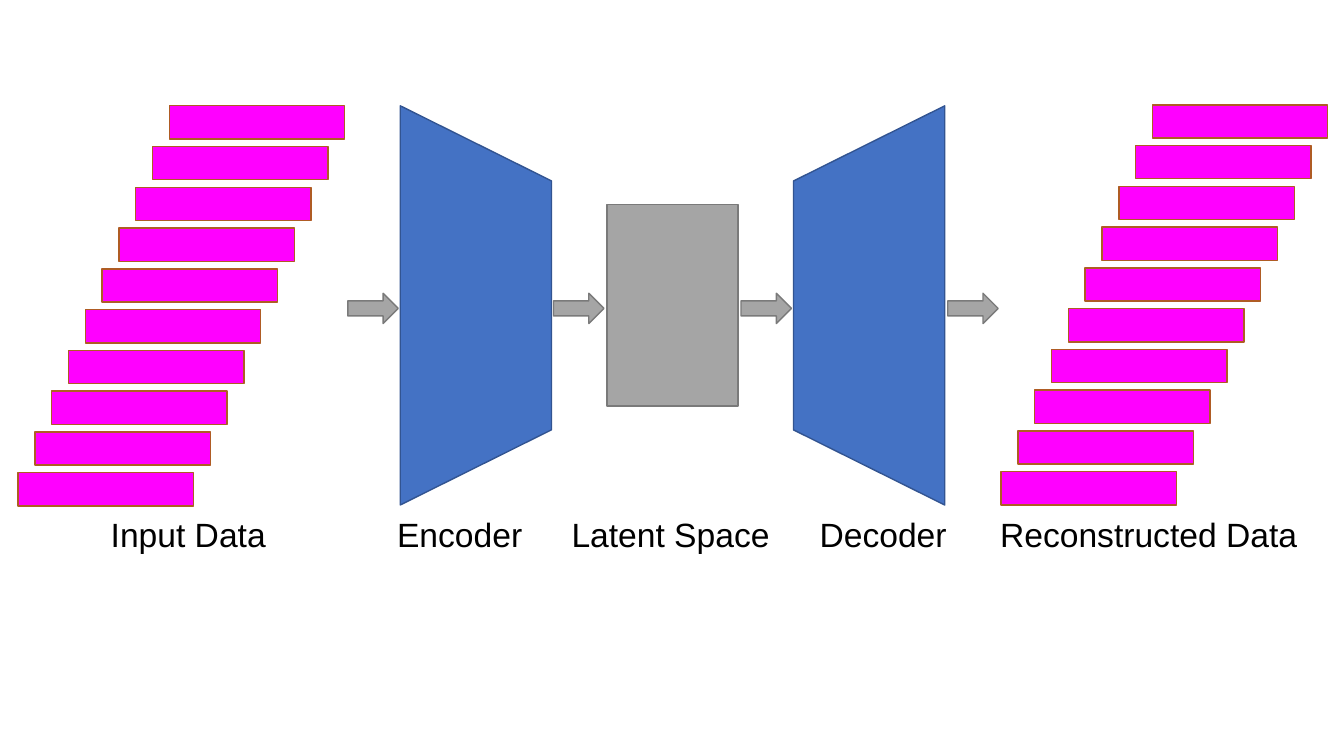
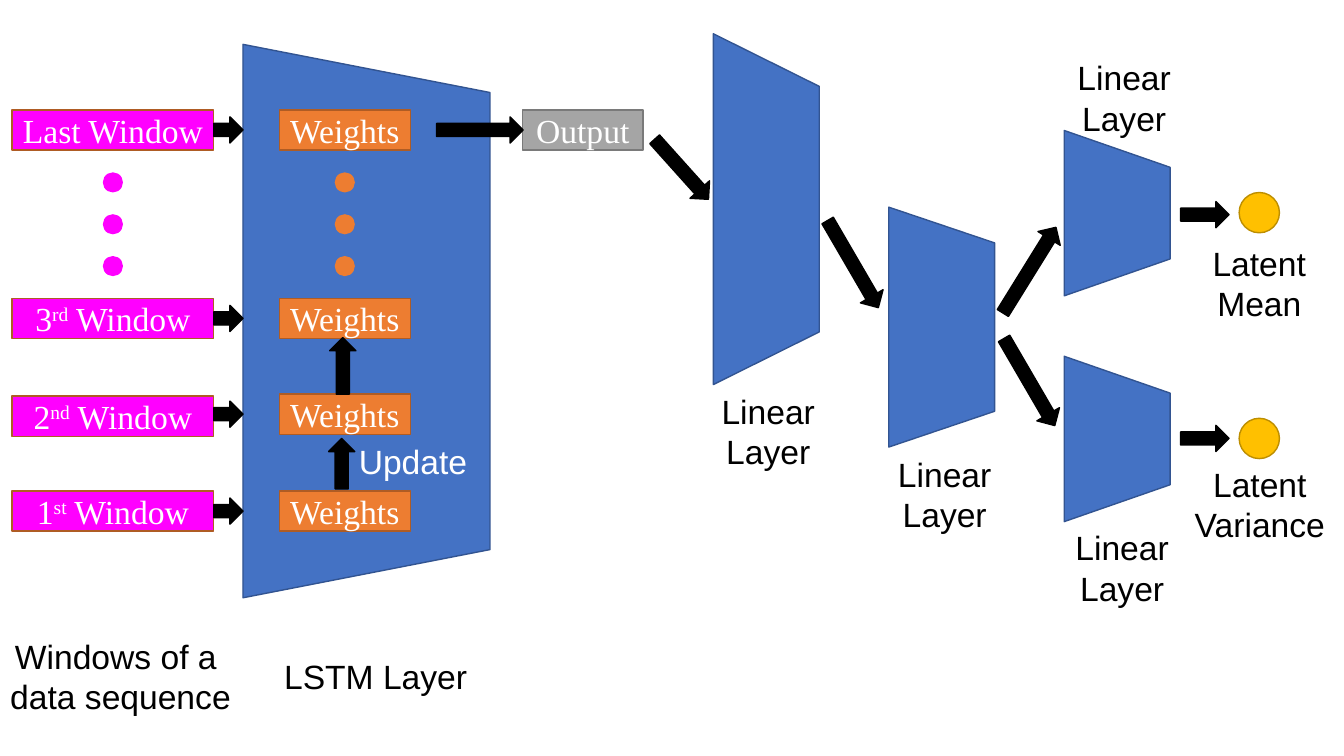
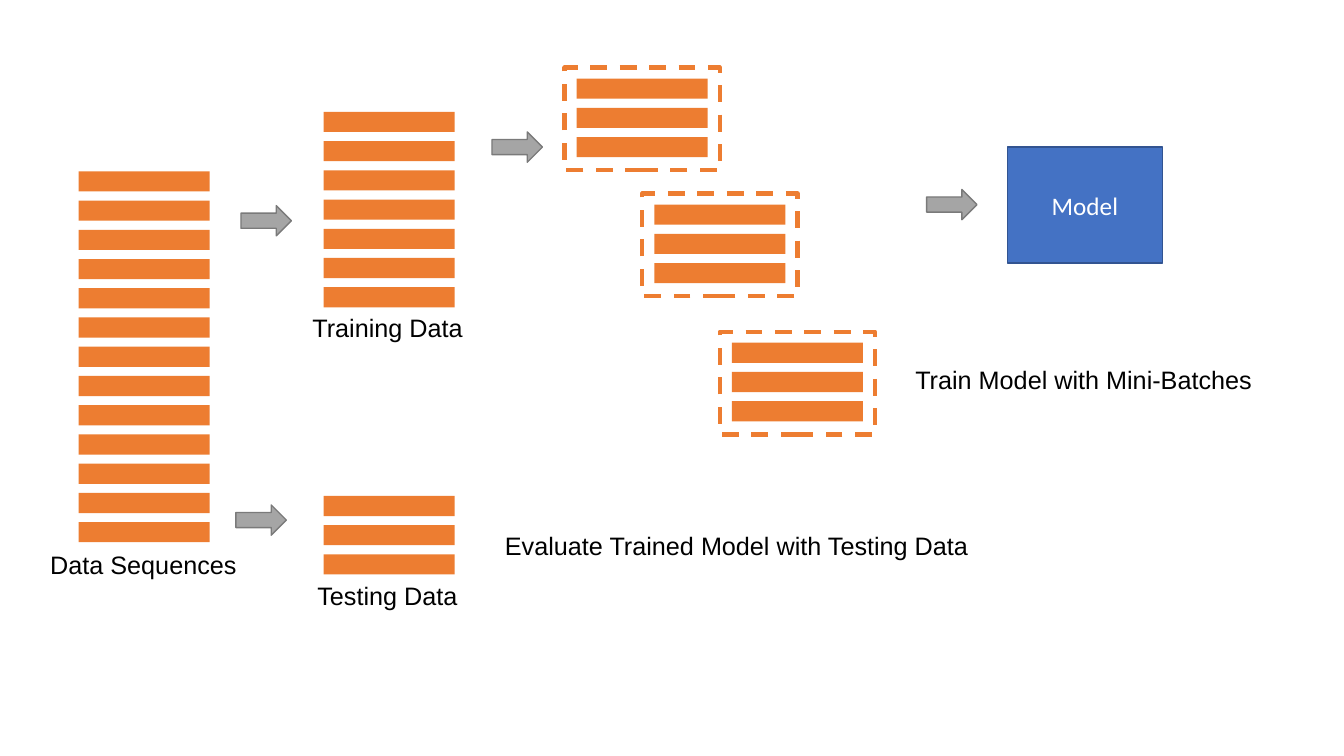
from dataclasses import dataclass

from pptx import Presentation
from pptx.dml.color import RGBColor
from pptx.enum.dml import MSO_LINE
from pptx.enum.shapes import MSO_SHAPE
from pptx.enum.text import MSO_ANCHOR, MSO_AUTO_SIZE, PP_ALIGN
from pptx.util import Inches, Pt


@dataclass(frozen=True)
class Theme:
    # Each paint is a fill and an outline; None leaves that part out
    network: tuple = ("4472C4", "325491")
    window: tuple = ("FF00FF", "AF5C24")
    window_dot: tuple = ("FF00FF", None)
    weights: tuple = ("ED7D31", "AF5C24")
    sequence: tuple = ("ED7D31", None)
    batch_frame: tuple = (None, "ED7D31")
    neutral: tuple = ("A5A5A5", "7A7A7A")
    flow: tuple = ("000000", "000000")
    latent: tuple = ("FFC000", "BD8E00")
    dark_text: str = "000000"
    light_text: str = "FFFFFF"
    label_font: str = "Arial"
    block_font: str = "Times New Roman"
    model_font: str = "Calibri"
    large: int = 24
    small: int = 18


theme = Theme()


def add_block(slide, preset, box, paint, text="", font=theme.block_font,
              size=theme.large, rotation=0, slant=None):
    """Add a preset shape; text between ^ marks is superscript."""
    block = slide.shapes.add_shape(preset, *map(Inches, box))
    block.shadow.inherit = False
    block.rotation = rotation
    if slant is not None:
        block.adjustments[0] = slant
    fill, outline = paint
    if fill:
        block.fill.solid()
        block.fill.fore_color.rgb = RGBColor.from_string(fill)
    else:
        block.fill.background()
    if outline:
        block.line.color.rgb = RGBColor.from_string(outline)
        block.line.width = Pt(1)
    else:
        block.line.fill.background()
    if text:
        block.text_frame.vertical_anchor = MSO_ANCHOR.MIDDLE
        paragraph = block.text_frame.paragraphs[0]
        paragraph.alignment = PP_ALIGN.CENTER
        for index, part in enumerate(text.split("^")):
            run = paragraph.add_run()
            run.text = part
            if index % 2:
                run.font._element.set("baseline", "30000")
        paragraph.font.name = font
        paragraph.font.size = Pt(size)
        paragraph.font.color.rgb = RGBColor.from_string(theme.light_text)
    return block


def add_label(slide, box, text, size=theme.large, color=theme.dark_text):
    """Add an unwrapped caption; several lines are centred on each other."""
    frame = slide.shapes.add_textbox(*map(Inches, box)).text_frame
    frame.word_wrap = False
    frame.auto_size = MSO_AUTO_SIZE.SHAPE_TO_FIT_TEXT
    frame.text = text
    for paragraph in frame.paragraphs:
        if "\n" in text:
            paragraph.alignment = PP_ALIGN.CENTER
        paragraph.font.name = theme.label_font
        paragraph.font.size = Pt(size)
        paragraph.font.color.rgb = RGBColor.from_string(color)


deck = Presentation()
deck.slide_width = Inches(13.33)
deck.slide_height = Inches(7.5)
blank_layout = deck.slide_layouts[6]

# Slide 1: autoencoder overview
overview = deck.slides.add_slide(blank_layout)

# Staggered stacks of input and reconstructed windows
for stack_left, stack_top in [(1.68, 1.05), (11.43, 1.04)]:
    for step in range(10):
        add_block(overview, MSO_SHAPE.RECTANGLE,
                  (stack_left - step / 6, stack_top + step * 3.64 / 9, 1.74, 0.33),
                  theme.window)

# Encoder, latent space and decoder
for left, rotation in [(2.74, 90), (6.64, 270)]:
    add_block(overview, MSO_SHAPE.TRAPEZOID, (left, 2.28, 3.96, 1.5),
              theme.network, rotation=rotation, slant=0.497)
add_block(overview, MSO_SHAPE.RECTANGLE, (6.02, 2.03, 1.3, 2), theme.neutral)

for left in (3.45, 5.49, 7.35, 9.4):
    add_block(overview, MSO_SHAPE.RIGHT_ARROW, (left, 2.91, 0.5, 0.3), theme.neutral)

for left, width, stage in [
    (1, 1.76, "Input Data"),
    (3.84, 1.46, "Encoder"),
    (5.57, 2.19, "Latent Space"),
    (8.03, 1.48, "Decoder"),
    (9.82, 3.18, "Reconstructed Data"),
]:
    add_label(overview, (left, 5.05, width, 0.5), stage)

# Slide 2: encoder in detail
encoder = deck.slides.add_slide(blank_layout)

# LSTM layer and linear layers
for box, slant in [
    ((0.89, 1.96, 5.49, 2.45), 0.195),
    ((5.86, 1.55, 3.48, 1.05), 0.497),
    ((8.15, 2.72, 2.38, 1.05), 0.338),
    ((10.26, 1.59, 1.64, 1.05), 0.348),
    ((10.26, 3.83, 1.64, 1.05), 0.348),
]:
    add_block(encoder, MSO_SHAPE.TRAPEZOID, box, theme.network, rotation=90, slant=slant)

# Each window feeds the weights on its row
for window_top, weights_top, arrow_top, window in [
    (1.09, 1.09, 1.16, "Last Window"),
    (2.96, 2.96, 3.03, "3^rd^ Window"),
    (3.93, 3.91, 3.98, "2^nd^ Window"),
    (4.87, 4.87, 4.94, "1^st^ Window"),
]:
    add_block(encoder, MSO_SHAPE.RECTANGLE, (0.12, window_top, 2, 0.4), theme.window, window)
    add_block(encoder, MSO_SHAPE.RECTANGLE, (2.77, weights_top, 1.3, 0.4),
              theme.weights, "Weights")
    add_block(encoder, MSO_SHAPE.RIGHT_ARROW, (2.12, arrow_top, 0.29, 0.26), theme.flow)

# Dots for the windows in between
for left, paint in [(1.02, theme.window_dot), (3.32, theme.sequence)]:
    for step in range(3):
        add_block(encoder, MSO_SHAPE.OVAL, (left, 1.71 + step * 0.415, 0.2, 0.2), paint)

# Output and latent values
add_block(encoder, MSO_SHAPE.RECTANGLE, (5.18, 1.09, 1.2, 0.4), theme.neutral, "Output")
for top in (1.91, 4.15):
    add_block(encoder, MSO_SHAPE.OVAL, (12.29, top, 0.4, 0.4), theme.latent)

# Flow arrows: left, top, length, rotation
for left, top, length, rotation in [
    (4.33, 1.16, 0.86, 0),
    (6.36, 1.55, 0.8, 48.1),
    (7.96, 2.49, 1, 59.8),
    (9.71, 3.66, 1, 59.8),
    (9.71, 2.55, 1, 301.8),
    (11.71, 2, 0.48, 0),
    (11.71, 4.22, 0.48, 0),
    (3.14, 4.47, 0.5, 270),
    (3.12, 3.5, 0.56, 270),
]:
    add_block(encoder, MSO_SHAPE.RIGHT_ARROW, (left, top, length, 0.26),
              theme.flow, rotation=rotation)

# Captions
for left, top in [(7.05, 3.83), (8.8, 4.45), (10.56, 5.18), (10.58, 0.52)]:
    add_label(encoder, (left, top, 1.14, 0.91), "Linear\nLayer")
add_label(encoder, (11.92, 2.36, 1.14, 0.91), "Latent\nMean")
add_label(encoder, (11.74, 4.55, 1.51, 0.91), "Latent\nVariance")
add_label(encoder, (-0.01, 6.26, 2.41, 0.91), "Windows of a \ndata sequence")
add_label(encoder, (2.72, 6.46, 2.04, 0.5), "LSTM Layer")
add_label(encoder, (3.46, 4.33, 1.29, 0.5), "Update", color=theme.light_text)

# Slide 3: training and testing
training = deck.slides.add_slide(blank_layout)

# Dashed mini-batch frames
batches = [(5.6, 0.67), (6.37, 1.92), (7.14, 3.29)]
for left, top in batches:
    batch = add_block(training, MSO_SHAPE.RECTANGLE, (left, top, 1.54, 1.02),
                      theme.batch_frame)
    batch.line.width = Pt(3)
    batch.line.dash_style = MSO_LINE.DASH

# Stacks of sequences: all data, training, testing, then one per batch
stacks = [(0.78, 1.7, 13), (3.21, 1.11, 7), (3.21, 4.92, 3)]
stacks += [(left + 0.12, top + 0.11, 3) for left, top in batches]
for left, top, count in stacks:
    for row in range(count):
        add_block(training, MSO_SHAPE.RECTANGLE, (left, top + row * 0.29, 1.3, 0.2),
                  theme.sequence)

for left, top in [(2.39, 2.04), (2.34, 5.01), (4.88, 1.31), (9.19, 1.88)]:
    add_block(training, MSO_SHAPE.RIGHT_ARROW, (left, top, 0.5, 0.3), theme.neutral)

add_block(training, MSO_SHAPE.RECTANGLE, (9.99, 1.46, 1.54, 1.15), theme.network,
          "Model", theme.model_font, theme.small)

for left, top, width, caption in [
    (0.4, 5.4, 2.07, "Data Sequences"),
    (3, 3.05, 1.71, "Training Data"),
    (3.05, 5.71, 1.6, "Testing Data"),
    (8.98, 3.57, 3.57, "Train Model with Mini-Batches"),
    (4.91, 5.21, 4.84, "Evaluate Trained Model with Testing Data"),
]:
    add_label(training, (left, top, width, 0.4), caption, theme.small)

deck.save("out.pptx")
